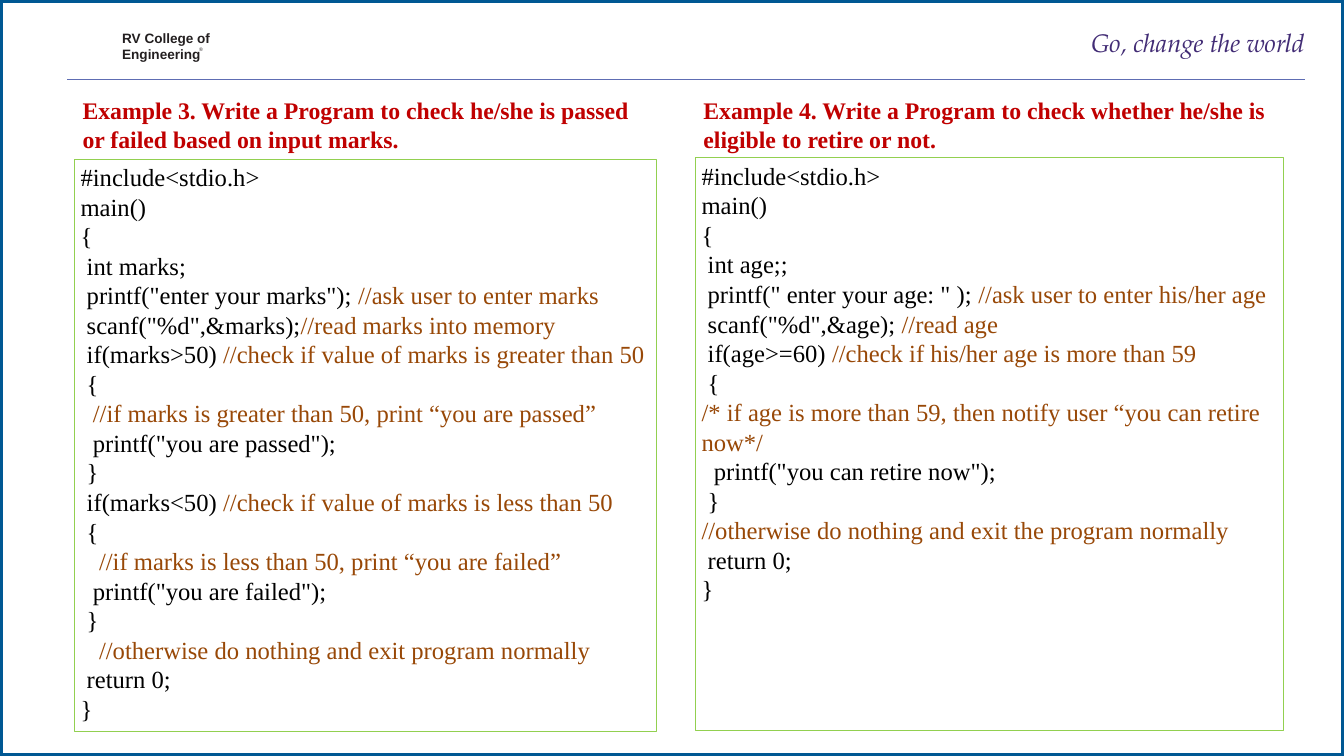
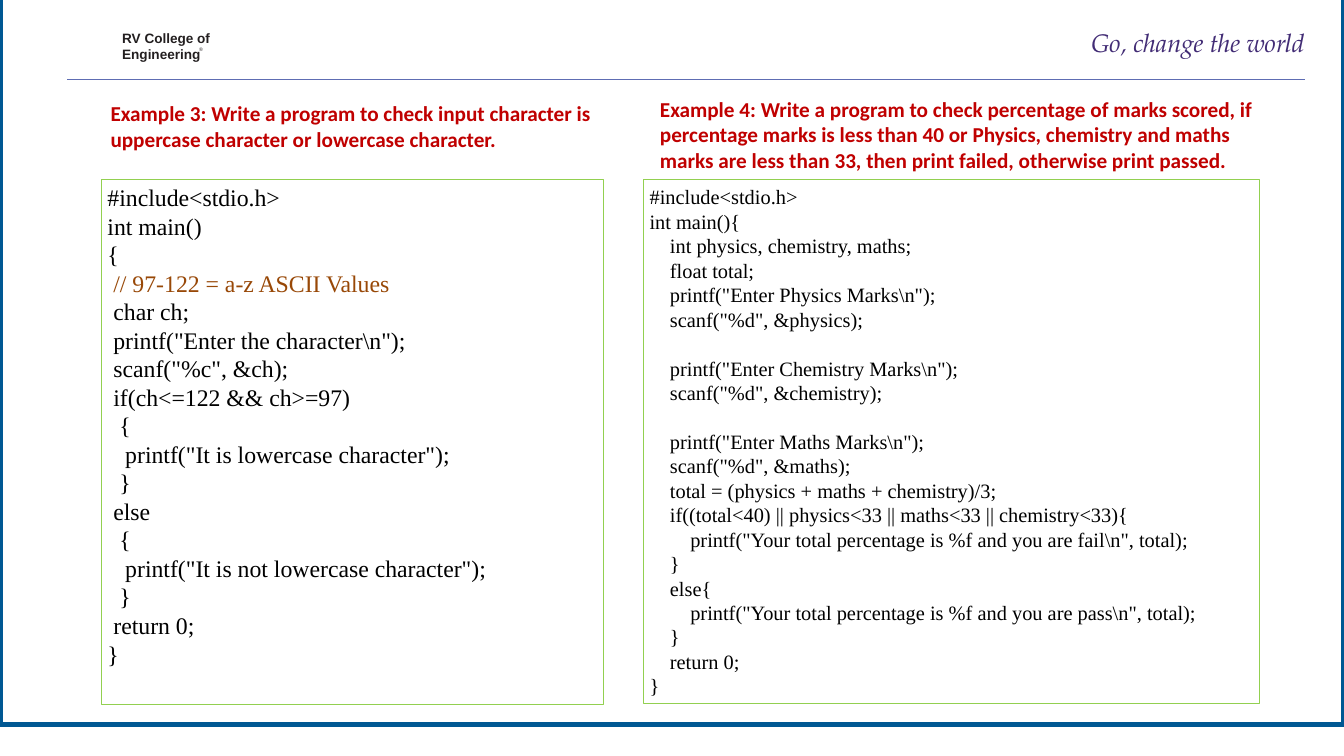
"""Build two slides of C programming examples, each pairing a question with its code."""
from lxml import etree
from pptx import Presentation
from pptx.dml.color import RGBColor
from pptx.enum.shapes import MSO_CONNECTOR, MSO_SHAPE
from pptx.enum.text import MSO_ANCHOR, MSO_AUTO_SIZE, PP_ALIGN
from pptx.oxml.ns import qn
from pptx.util import Inches, Pt

BLUE = RGBColor(0x00, 0x58, 0x93)
RULE = RGBColor(0x5E, 0x6D, 0xB3)
INK = RGBColor(0x23, 0x1F, 0x20)
PURPLE = RGBColor(0x42, 0x2C, 0x75)
GREEN = RGBColor(0x92, 0xD0, 0x50)
RED = RGBColor(0xC0, 0x00, 0x00)
BROWN = RGBColor(0x98, 0x48, 0x07)
BLACK = RGBColor(0x00, 0x00, 0x00)

RECT = MSO_SHAPE.RECTANGLE
STRAIGHT = MSO_CONNECTOR.STRAIGHT
TOP, MIDDLE = MSO_ANCHOR.TOP, MSO_ANCHOR.MIDDLE
LEFT, RIGHT = PP_ALIGN.LEFT, PP_ALIGN.RIGHT
NO_FIT = MSO_AUTO_SIZE.NONE

SERIF, SANS, ARIAL, PAGELLA = "Times New Roman", "Calibri", "Arial", "TeX Gyre Pagella"
COLS, ROWS = 219.9, 123.7
CELL = Inches(0.1)
TITLE_ONLY = 5

MARKS = r'''#include<stdio.h>
main()
{
 int marks;
 printf("enter your marks"); //ask user to enter marks
 scanf("%d",&marks);//read marks into memory
 if(marks>50) //check if value of marks is greater than 50
 {
  //if marks is greater than 50, print “you are passed”
  printf("you are passed");
 }
 if(marks<50) //check if value of marks is less than 50
 {
   //if marks is less than 50, print “you are failed”
  printf("you are failed");
 }
   //otherwise do nothing and exit program normally
 return 0;
}'''

RETIRE = r'''#include<stdio.h>
main()
{
 int age;;
 printf(" enter your age: " ); //ask user to enter his/her age
 scanf("%d",&age); //read age
 if(age>=60) //check if his/her age is more than 59
 {
/* if age is more than 59, then notify user “you can retire now*/
  printf("you can retire now");
 }
//otherwise do nothing and exit the program normally
 return 0;
}'''

LETTER = r'''#include<stdio.h>
int main()
{
 // 97-122 = a-z ASCII Values
 char ch;
 printf("Enter the character\n");
 scanf("%c", &ch);
 if(ch<=122 && ch>=97)
  {
   printf("It is lowercase character");
  }
 else
  {
   printf("It is not lowercase character");
  }
 return 0;
}'''

PERCENT = r'''#include<stdio.h>
int main(){
    int physics, chemistry, maths;
    float total;
    printf("Enter Physics Marks\n");
    scanf("%d", &physics);

    printf("Enter Chemistry Marks\n");
    scanf("%d", &chemistry);

    printf("Enter Maths Marks\n");
    scanf("%d", &maths);
    total = (physics + maths + chemistry)/3;
    if((total<40) || physics<33 || maths<33 || chemistry<33){
        printf("Your total percentage is %f and you are fail\n", total);
    }
    else{
        printf("Your total percentage is %f and you are pass\n", total);
    }
    return 0;
}'''


class Deck:
    """Holds the style and the current slide."""

    def __init__(self):
        self.prs = Presentation()
        self.prs.slide_width, self.prs.slide_height = self.cells(COLS, ROWS)
        self.s = None

    @staticmethod
    def cells(*counts):
        """Turn counts of grid columns or rows into lengths."""
        return [int(n * CELL) for n in counts]

    @staticmethod
    def run(p, text, size, font, color, bold=False, italic=False):
        """Add one formatted run to a paragraph."""
        r = p.add_run()
        r.text = text
        r.font.size, r.font.name = Pt(size), font
        r.font.bold, r.font.italic = bold, italic
        r.font.color.rgb = color

    @staticmethod
    def frame_text(sp, inset=True, anchor=TOP):
        """Prepare the text frame of a shape."""
        tf = sp.text_frame
        tf.word_wrap, tf.auto_size, tf.vertical_anchor = True, NO_FIT, anchor
        if not inset:
            tf.margin_left = tf.margin_top = tf.margin_right = tf.margin_bottom = 0
        return tf

    def rect(self, place, color, width):
        """Add an unfilled rectangle with a coloured outline."""
        sp = self.s.shapes.add_shape(RECT, *self.cells(*place))
        sp.shadow.inherit = False
        sp.fill.background()
        sp.line.color.rgb, sp.line.width = color, Pt(width)
        return sp

    def label(self, place, inset=True):
        """Add a text box and return its text frame."""
        return self.frame_text(self.s.shapes.add_textbox(*self.cells(*place)), inset)

    def slide(self, frame_row=0):
        """Start a slide with its border, rule, college name and motto."""
        self.s = self.prs.slides.add_slide(self.prs.slide_layouts[TITLE_ONLY])
        self.rect((0, frame_row, COLS, ROWS), BLUE, 6)
        self.rule(11, 213.6, 13)
        self.college()
        self.motto("Go, change the world")

    def rule(self, left, right, row):
        """Add the horizontal line under the header."""
        line = self.s.shapes.add_connector(STRAIGHT, *self.cells(left, row, right, row))
        line.line.color.rgb, line.line.width = RULE, Pt(1.25)
        etree.SubElement(line._element.spPr, qn("a:effectLst"))

    def college(self):
        """Add the college name with its registered mark."""
        tf = self.label((20, 5.1, 15, 5.4), inset=False)
        for i, text in enumerate(("RV College of", "Engineering")):
            p = tf.add_paragraph() if i else tf.paragraphs[0]
            p.line_spacing = Pt(17.9)
            p.space_before = Pt(1.4 if i else 0)
            self.run(p, text, 16, ARIAL, INK, bold=True)
        mark = self.label((32.6, 7.6, 1, 1), inset=False)
        self.run(mark.paragraphs[0], "®", 6, ARIAL, INK)

    def motto(self, text):
        """Fill the title placeholder at the top right."""
        sp = self.s.shapes.title
        sp.left, sp.top, sp.width, sp.height = self.cells(173.3, 4.5, 40.2, 5.1)
        p = self.frame_text(sp, inset=False).paragraphs[0]
        p.alignment = RIGHT
        self.run(p, text, 30, PAGELLA, PURPLE, italic=True)

    def question(self, place, text, size, font, indent=0):
        """Add the bold question above a program."""
        tf = self.label(place)
        tf.margin_left += Inches(indent)
        self.run(tf.paragraphs[0], text, size, font, RED, bold=True)

    def code(self, place, source, size, anchor=TOP):
        """Add an outlined program listing with coloured comments."""
        tf = self.frame_text(self.rect(place, GREEN, 0.75), anchor=anchor)
        for i, line in enumerate(source.split("\n")):
            p = tf.add_paragraph() if i else tf.paragraphs[0]
            p.alignment = LEFT
            starts = [line.find(m) for m in ("//", "/*") if m in line]
            cut = min(starts, default=len(line))
            for text, color in ((line[:cut], BLACK), (line[cut:], BROWN)):
                if text:
                    self.run(p, text, size, SERIF, color)
            if not line:
                end = p._p.get_or_add_endParaRPr()
                end.set("sz", str(size * 100))
                etree.SubElement(end, qn("a:latin")).set("typeface", SERIF)


def main():
    """Build both slides and save the file."""
    deck = Deck()

    deck.slide()
    deck.code((12.2, 26, 95.2, 93.7), MARKS, 29)
    deck.question((12.2, 15.2, 95.2, 10.5), "Example 3. Write a Program to check he/she is "
                  "passed or failed based on input marks.", 28, SERIF, 0.03)
    deck.code((113.8, 25.8, 96.2, 93.7), RETIRE, 29)
    deck.question((113.8, 15.2, 96.6, 10.5), "Example 4. Write a Program to check whether "
                  "he/she is eligible to retire or not.", 28, SERIF, 0.03)

    deck.slide(frame_row=-5.1)
    deck.code((16.6, 29.4, 82.1, 85.8), LETTER, 28)
    deck.code((105.3, 29.3, 100.8, 85.8), PERCENT, 24, MIDDLE)
    deck.question((17.1, 16, 82.1, 9.4), "Example 3: Write a program to check input character "
                  "is uppercase character or lowercase character.", 25, SANS)
    deck.question((107, 15.2, 99.2, 13.6), "Example 4: Write a program to check percentage of "
                  "marks scored, if percentage marks is less than 40 or Physics, chemistry and "
                  "maths marks are less than 33, then print failed, otherwise print passed.",
                  25, SANS)

    deck.prs.save("out.pptx")


if __name__ == "__main__":
    main()
